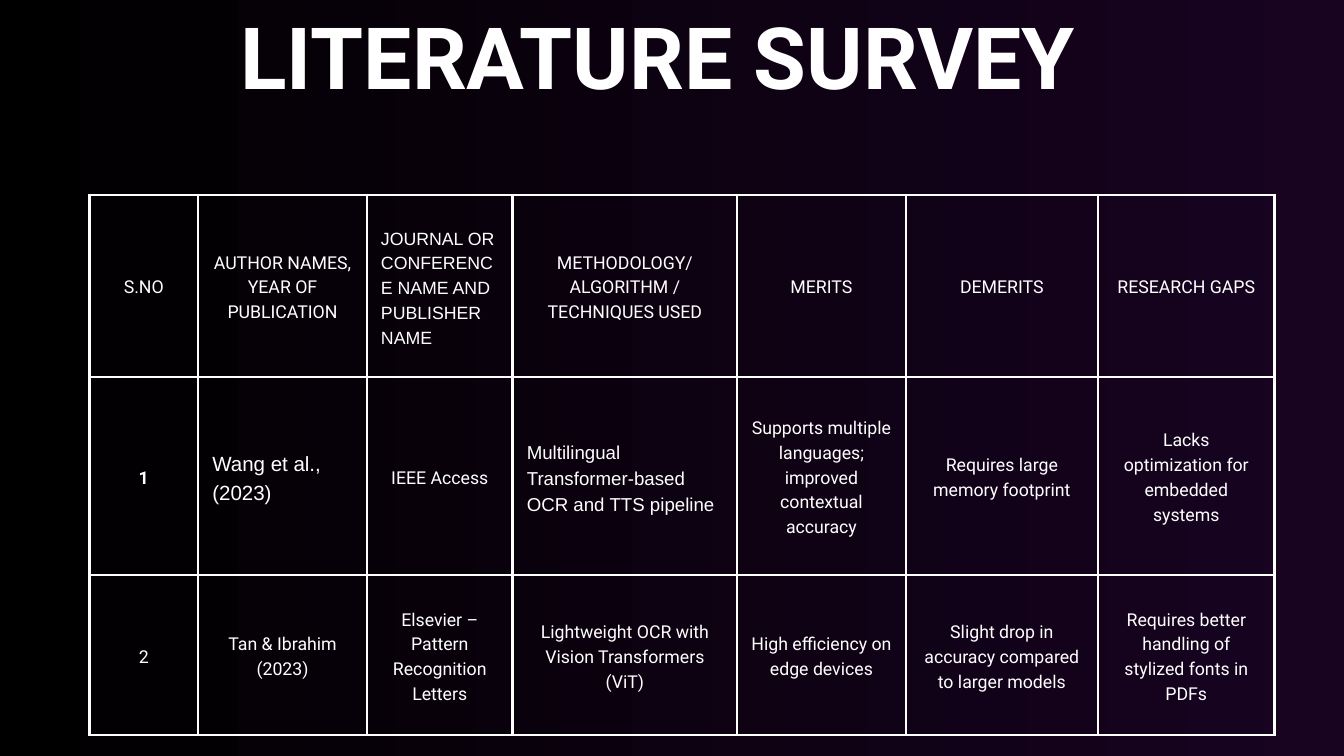
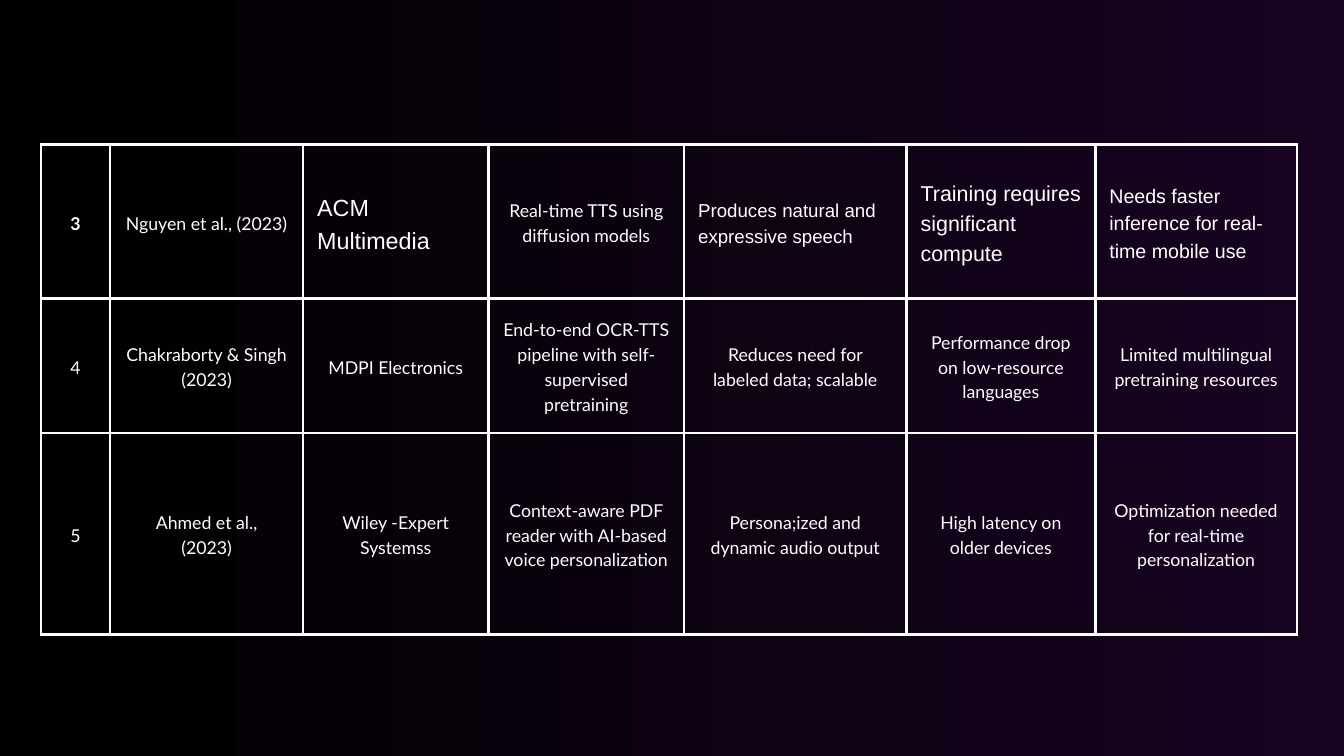
import pptx
import pptx.util
import pptx.dml.color
import pptx.enum.text
import pptx.oxml
import pptx.oxml.ns

PX = 9144  # one px is a hundredth of an inch
COLORS = {"white": "FFFFFF", "night": "000000", "plum": "180321"}
LEADING = 1.4
BODY_SIZE = 19
CELL_MARGIN = 21
BORDER_PT = 3

SURVEY_START = [
    ["S.NO", "AUTHOR NAMES, YEAR OF PUBLICATION",
     "JOURNAL OR CONFERENCE NAME AND PUBLISHER NAME",
     "METHODOLOGY/ ALGORITHM / TECHNIQUES USED",
     "MERITS", "DEMERITS", "RESEARCH GAPS"],
    ["1", "Wang et al., (2023)", "IEEE Access",
     "Multilingual Transformer-based OCR and TTS pipeline",
     "Supports multiple languages; improved contextual accuracy",
     "Requires large memory footprint",
     "Lacks optimization for embedded systems"],
    ["2", "Tan & Ibrahim (2023)", "Elsevier – Pattern Recognition Letters",
     "Lightweight OCR with Vision Transformers (ViT)",
     "High efficiency on edge devices",
     "Slight drop in accuracy compared to larger models",
     "Requires better handling of stylized fonts in PDFs"],
]
SURVEY_REST = [
    ["3", "Nguyen et al., (2023)", "ACM Multimedia",
     "Real-time TTS using diffusion models",
     "Produces natural and expressive speech",
     "Training requires significant compute",
     "Needs faster inference for real-time mobile use"],
    ["4", "Chakraborty & Singh (2023)", "MDPI Electronics",
     "End-to-end OCR-TTS pipeline with self-supervised pretraining",
     "Reduces need for labeled data; scalable",
     "Performance drop on low-resource languages",
     "Limited multilingual pretraining resources"],
    ["5", "Ahmed et al.,\n(2023)", "Wiley -Expert Systemss",
     "Context-aware PDF reader with AI-based voice personalization",
     "Persona;ized and dynamic audio output",
     "High latency on older devices",
     "Optimization needed for real-time personalization"],
]


def px(length):
    return pptx.util.Emu(length * PX)


def rgb(name):
    return pptx.dml.color.RGBColor.from_string(COLORS[name])


def style_text(frame, font_name, size, bold=False, centered=True):
    align = pptx.enum.text.PP_ALIGN
    for paragraph in frame.paragraphs:
        paragraph.alignment = align.CENTER if centered else align.LEFT
        paragraph.line_spacing = pptx.util.Pt(round(size * LEADING, 1))
        paragraph.font.name = font_name
        paragraph.font.size = pptx.util.Pt(size)
        paragraph.font.bold = bold
        paragraph.font.color.rgb = rgb("white")


def paint_background(master):
    fill = master.background.fill
    fill.gradient()
    fill.gradient_angle = 0
    for stop, position, name in zip(fill.gradient_stops, (0, 1), ("night", "plum")):
        stop.position = position
        stop.color.rgb = rgb(name)


def add_title(slide, box, text):
    title = slide.shapes.title
    title.left, title.top, title.width, title.height = map(px, box)
    frame = title.text_frame
    frame.text = text
    frame.word_wrap = True
    frame.auto_size = pptx.enum.text.MSO_AUTO_SIZE.SHAPE_TO_FIT_TEXT
    frame.vertical_anchor = pptx.enum.text.MSO_ANCHOR.TOP
    frame.margin_left = frame.margin_right = frame.margin_top = frame.margin_bottom = 0
    style_text(frame, "Roboto", 92, bold=True)


def draw_borders(cell):
    properties = cell._tc.get_or_add_tcPr()
    for index, side in enumerate("LRTB"):
        properties.insert(index, pptx.oxml.parse_xml(
            f'<a:ln{side} {pptx.oxml.ns.nsdecls("a")} w="{BORDER_PT * 12700}">'
            f'<a:solidFill><a:srgbClr val="{COLORS["white"]}"/></a:solidFill>'
            f'<a:prstDash val="solid"/></a:ln{side}>'))


def add_survey_table(slide, corner, widths, heights, rows, font_name, bold_cell, arial_sizes):
    """Cells listed in arial_sizes are left-aligned Arial of that size."""
    frame = slide.shapes.add_table(len(heights), len(widths), *map(px, corner),
                                   px(sum(widths)), px(sum(heights)))
    table = frame.table
    table.first_row = table.horz_banding = False
    for column, width in zip(table.columns, widths):
        column.width = px(width)
    for row, height in zip(table.rows, heights):
        row.height = px(height)

    for r, entries in enumerate(rows):
        for c, entry in enumerate(entries):
            cell = table.cell(r, c)
            cell.text = entry
            cell.fill.background()
            cell.vertical_anchor = pptx.enum.text.MSO_ANCHOR.MIDDLE
            cell.margin_left = cell.margin_right = px(CELL_MARGIN)
            cell.margin_top = cell.margin_bottom = px(CELL_MARGIN)
            draw_borders(cell)
            is_arial = (r, c) in arial_sizes
            style_text(cell.text_frame, "Arial" if is_arial else font_name,
                       arial_sizes.get((r, c), BODY_SIZE),
                       bold=(r, c) == bold_cell, centered=not is_arial)


def main():
    deck = pptx.Presentation()
    deck.slide_width, deck.slide_height = px(2000), px(1125)
    paint_background(deck.slide_master)
    title_only, blank = deck.slide_layouts[5], deck.slide_layouts[6]

    # Opening slide: title, header row and first two papers
    opening = deck.slides.add_slide(title_only)
    add_survey_table(opening, (133, 290), [162, 251, 217, 334, 251, 286, 263],
                     [271, 295, 238], SURVEY_START, "Roboto", (1, 0),
                     {(0, 2): 19, (1, 1): 22, (1, 3): 20})
    add_title(opening, (221, -20, 1516, 190), "LITERATURE SURVEY")

    # Continuation slide: remaining papers
    continuation = deck.slides.add_slide(blank)
    add_survey_table(continuation, (61, 215), [103, 287, 276, 291, 331, 281, 300],
                     [229, 200, 300], SURVEY_REST, "Lato", (0, 0),
                     {(0, 2): 25, (0, 4): 20, (0, 5): 23, (0, 6): 21})

    deck.save("out.pptx")


if __name__ == "__main__":
    main()
